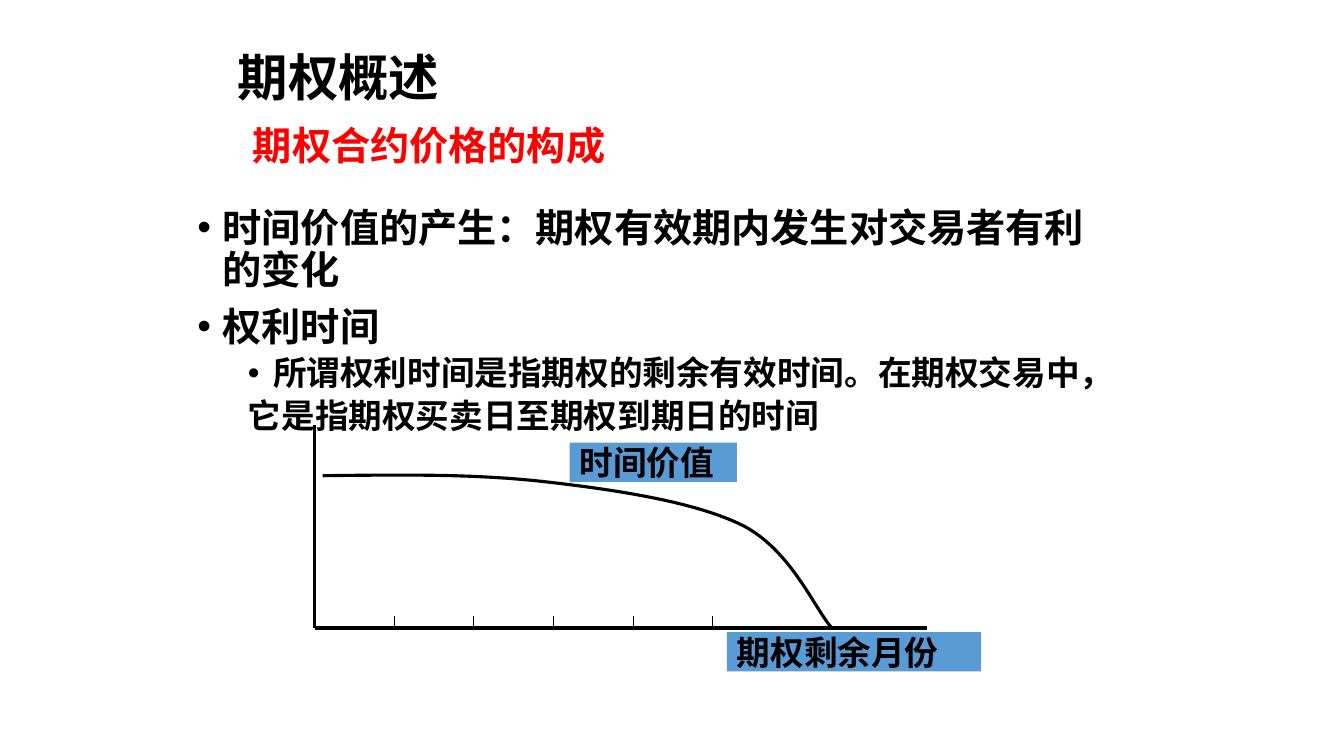
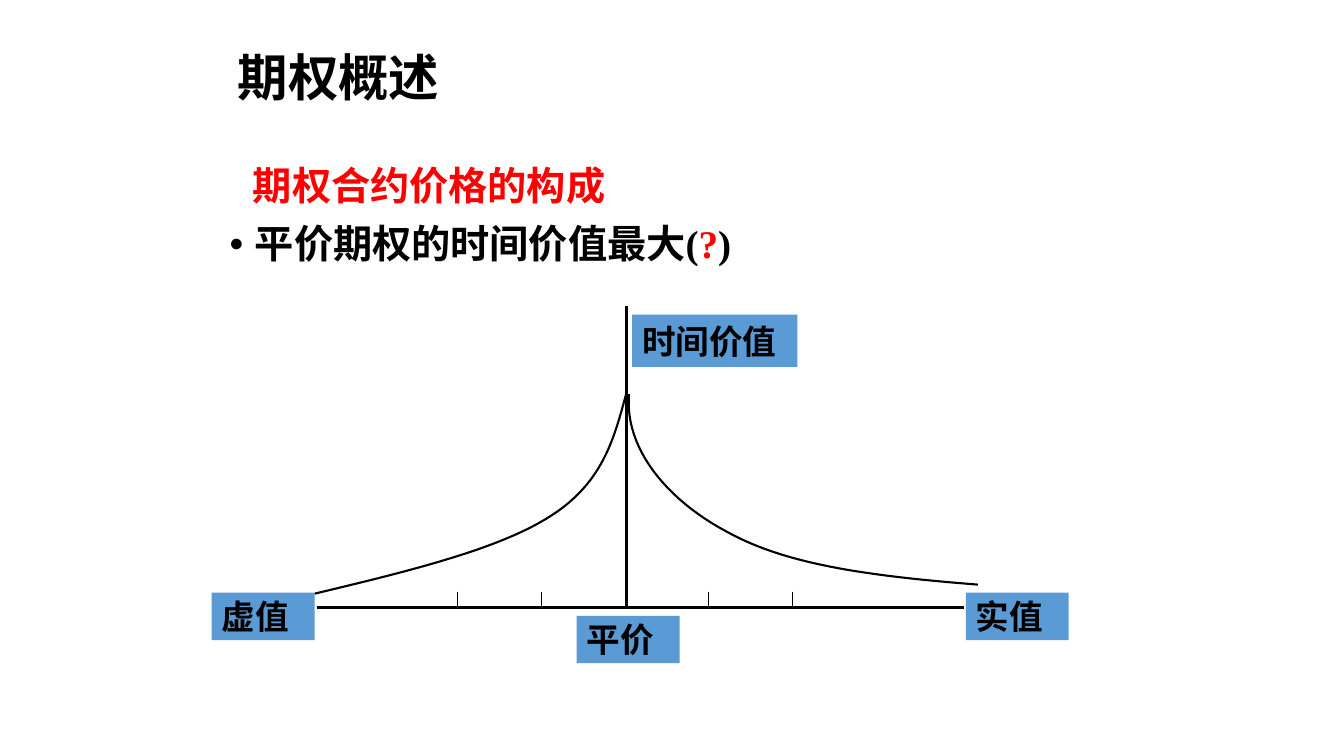
from lxml.etree import SubElement as Sub
from pptx import Presentation
from pptx.dml.color import RGBColor
from pptx.enum.shapes import MSO_CONNECTOR as Conn, MSO_SHAPE as Shape
from pptx.enum.text import MSO_ANCHOR as Anchor, PP_ALIGN as Align
from pptx.oxml.ns import qn
from pptx.util import Pt

PX = 9144  # 100 px to the inch
BLACK, RED, BLUE, WHITE = "000000", "FF0000", "5B9BD5", "FFFFFF"
SANS, SANS_JP, TIMES = "Noto Sans CJK SC", "Noto Sans CJK JP", "Times New Roman"


def color(code):
    return RGBColor.from_string(code)


def scale(*nums):
    return [round(n * PX) for n in nums]


def bezier(start, parts, steps=24):
    """Points along joined cubic curves; each part is two controls and an end."""
    points = [start]
    for part in parts:
        ctrl = (points[-1], *part)
        for i in range(1, steps + 1):
            t = i / steps
            s = 1 - t
            mix = (s ** 3, 3 * s * s * t, 3 * s * t * t, t ** 3)
            points.append(tuple(sum(m * c[k] for m, c in zip(mix, ctrl))
                                for k in (0, 1)))
    return points


class Deck:
    title_size, head_size, label_size = 36, 28, 24
    thin, medium, thick = 0.75, 1.5, 2.25

    def __init__(self):
        self.prs = Presentation()
        self.prs.slide_width, self.prs.slide_height = scale(1333, 750)

    def page(self, head_top):
        self.slide = self.prs.slides.add_slide(self.prs.slide_layouts[6])
        fill = self.slide.background.fill
        fill.solid()
        fill.fore_color.rgb = color(WHITE)
        title = self.box((226, 44, 817, 71), Anchor.MIDDLE)
        self.para(title, [("期权概述", BLACK)], self.title_size,
                  form={"line_spacing": 0.9})
        head = self.box((241, head_top, 559, 57))
        self.para(head, [("期权合约价格的构成", RED)], self.head_size, SANS_JP)

    def box(self, area, anchor=Anchor.TOP):
        frame = self.slide.shapes.add_textbox(*scale(*area)).text_frame
        frame.word_wrap = True
        frame.vertical_anchor = anchor
        return frame

    def para(self, frame, runs, size, font=SANS, form=None):
        """Fill the first paragraph if it is empty, else add one."""
        last = frame.paragraphs[-1]
        para = frame.add_paragraph() if last.runs else last
        for key, val in {"alignment": Align.LEFT, **(form or {})}.items():
            setattr(para, key, val)
        for text, code in runs:
            run = para.add_run()
            run.text = text
            for key, val in {"name": font, "size": Pt(size), "bold": True}.items():
                setattr(run.font, key, val)
            run.font.color.rgb = color(code)
            east = SANS if font == TIMES else font
            Sub(run.font._element, qn("a:ea")).set("typeface", east)
        return para

    def item(self, frame, runs, level=0, font=SANS, bullet=True):
        form = {"level": level, "line_spacing": 0.9,
                "space_before": Pt(5 if level else 10)}
        size = self.label_size if level else self.head_size
        props = self.para(frame, runs, size, font, form)._p.get_or_add_pPr()
        left, hang = scale(75 if level else 25, -25)
        props.set("marL", str(left))
        props.set("indent", str(hang))
        if bullet:
            Sub(props, qn("a:buFont")).set("typeface", "Arial")
            Sub(props, qn("a:buChar")).set("char", "•")
        else:
            Sub(props, qn("a:buNone"))

    def label(self, text, *area):
        rect = self.slide.shapes.add_shape(Shape.RECTANGLE, *scale(*area))
        rect.shadow.inherit = False
        rect.fill.solid()
        rect.fill.fore_color.rgb = color(BLUE)
        rect.line.fill.background()
        frame = rect.text_frame
        frame.word_wrap = True
        frame.vertical_anchor = Anchor.MIDDLE
        self.para(frame, [(text, BLACK)], self.label_size)

    def ink(self, line, width):
        line.color.rgb = color(BLACK)
        line.width = Pt(width)

    def line(self, *ends, width=thick):
        line = self.slide.shapes.add_connector(Conn.STRAIGHT, *scale(*ends))
        self.ink(line.line, width)
        Sub(line._element.spPr, qn("a:effectLst"))

    def ticks(self, places, top, base):
        for x in places:
            self.line(x, top, x, base, width=self.thin)

    def curve(self, start, *parts, width):
        first, *rest = [scale(*p) for p in bezier(start, parts)]
        path = self.slide.shapes.build_freeform(*first)
        path.add_line_segments(rest, close=False)
        shape = path.convert_to_shape()
        shape.shadow.inherit = False
        shape.fill.background()
        self.ink(shape.line, width)


def decay(deck):
    """Time value against months left."""
    deck.page(head_top=115)
    body = deck.box((186, 202, 937, 504))
    for text, level, bullet in (
            ("时间价值的产生：期权有效期内发生对交易者有利的变化", 0, True),
            ("权利时间", 0, True),
            ("所谓权利时间是指期权的剩余有效时间。在期权交易中，", 1, True),
            ("它是指期权买卖日至期权到期日的时间", 1, False)):
        deck.item(body, [(text, BLACK)], level, bullet=bullet)
    deck.label("期权剩余月份", 721, 627, 252, 39)
    deck.label("时间价值", 565, 439, 166, 39)
    left, base = 312, 623
    deck.ticks([left + 79 * i for i in range(1, 6)], 611, base)
    deck.line(left, 422, left, base)
    deck.line(left, base, 919, base)
    deck.curve((320, 472),
               ((396, 471), (471, 470), (541, 478)),
               ((611, 486), (691, 498), (738, 522)),
               ((785, 547), (808, 604), (825, base)), width=deck.thick)


def peak(deck):
    """Time value on both sides of at the money."""
    deck.page(head_top=155)
    body = deck.box((218, 218, 817, 449))
    deck.item(body, [("平价期权的时间价值最大(", BLACK), ("?", RED), (")", BLACK)],
              font=TIMES)
    mid, base = 621, 603
    deck.ticks([mid - 1 + 83 * i for i in (-2, -1, 1, 2)], 587, base)
    deck.line(mid, 304, mid, base)
    deck.line(314, base, 956, base)
    deck.curve((mid, 391),
               ((609, 435), (598, 479), (546, 512)),
               ((495, 545), (404, 567), (312, 589)), width=deck.medium)
    deck.curve((624, 391),
               ((619, 445), (662, 496), (720, 527)),
               ((777, 559), (855, 571), (970, 580)), width=deck.medium)
    deck.label("时间价值", 627, 312, 164, 52)
    for text, x, y in (("虚值", 210, 588), ("平价", 572, 611), ("实值", 958, 588)):
        deck.label(text, x, y, 102, 47)


def main():
    deck = Deck()
    decay(deck)
    peak(deck)
    deck.prs.save("out.pptx")


if __name__ == "__main__":
    main()
